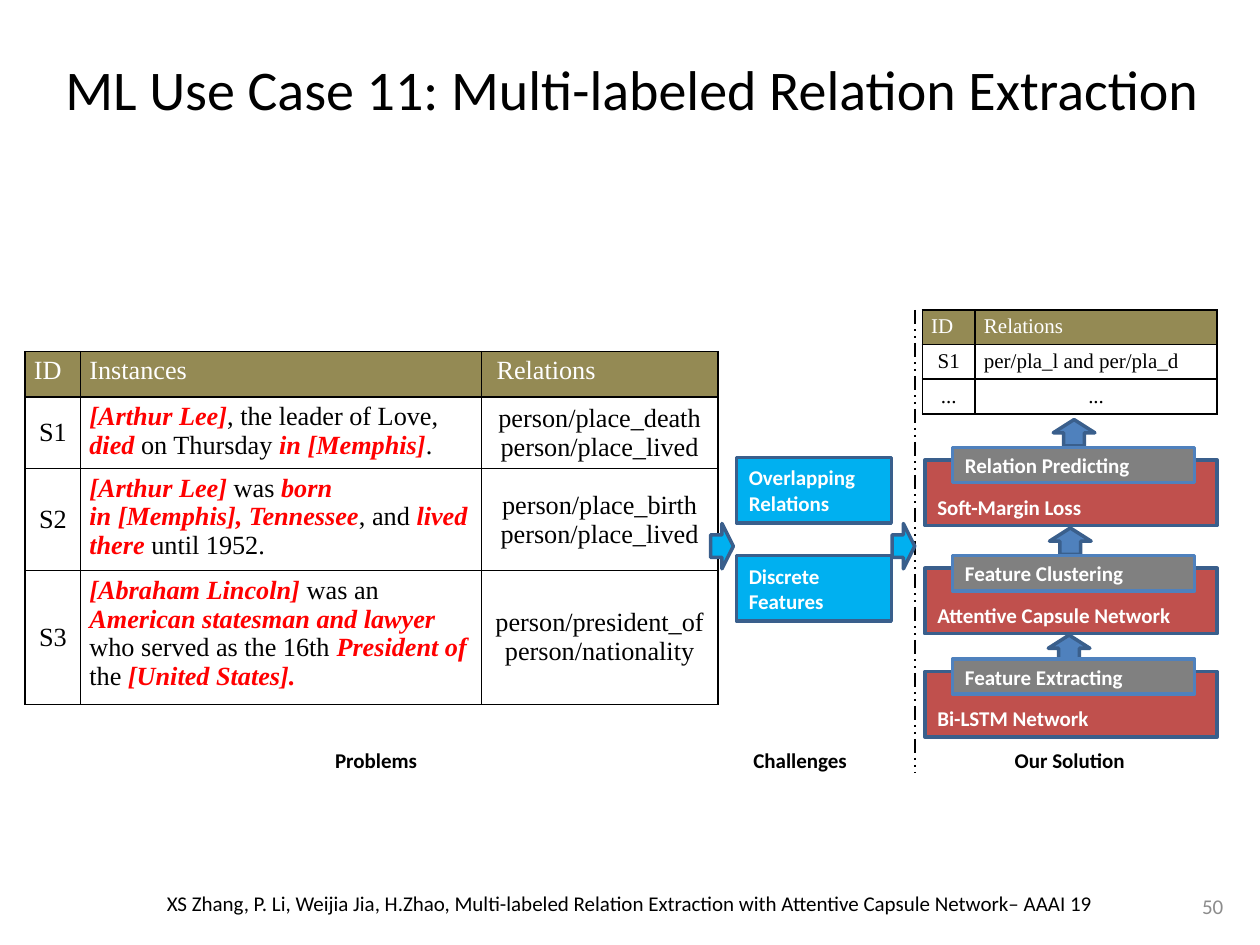
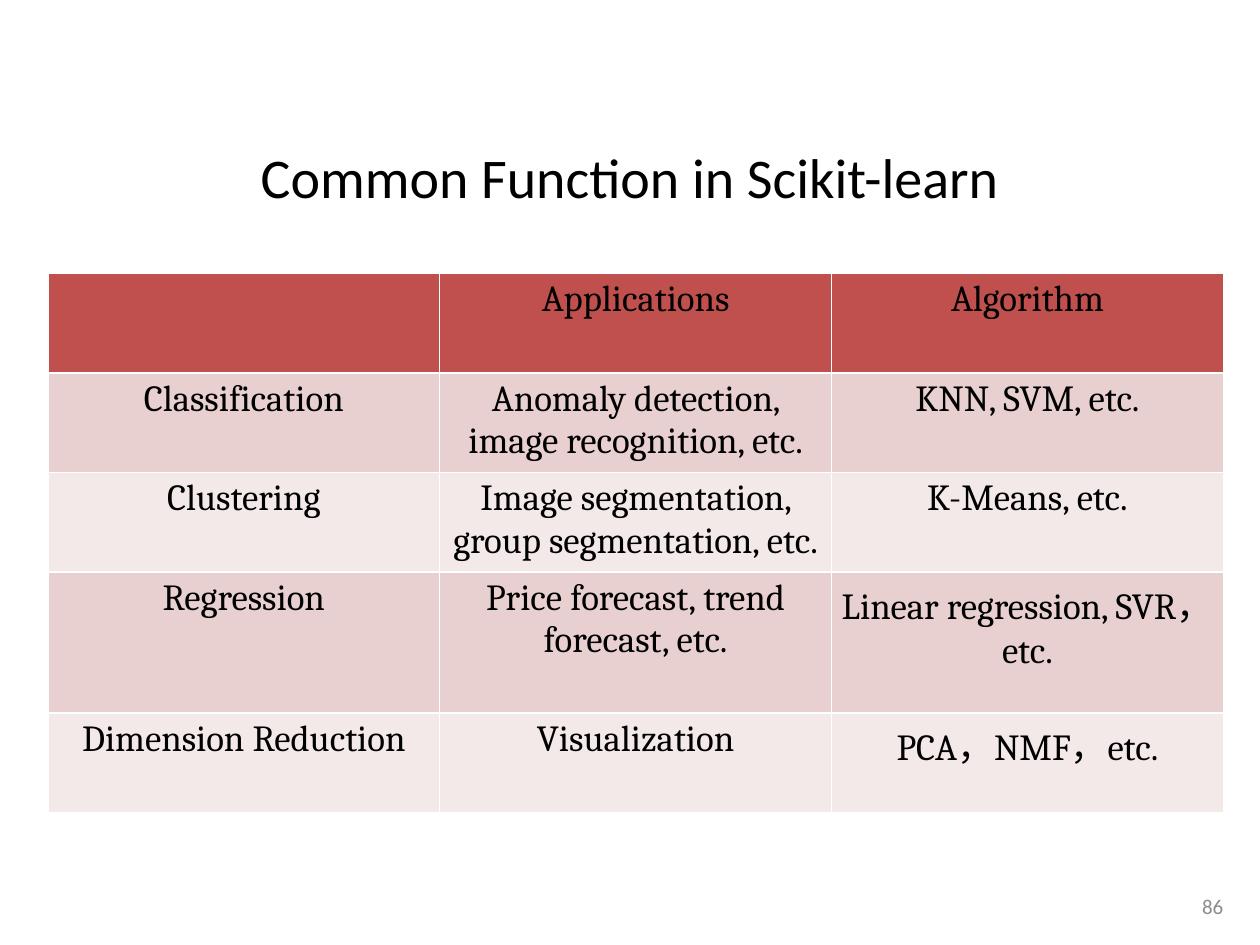
from lxml.etree import SubElement
from pptx import Presentation
from pptx.dml.color import RGBColor
from pptx.enum.dml import MSO_LINE
from pptx.enum.shapes import MSO_CONNECTOR, MSO_SHAPE
from pptx.enum.text import MSO_ANCHOR, MSO_AUTO_SIZE, PP_ALIGN
from pptx.oxml import parse_xml
from pptx.oxml.ns import nsdecls, qn
from pptx.util import Inches, Pt

COLORS = {name: RGBColor.from_string(value) for name, value in {
    "black": "000000", "white": "FFFFFF", "number": "8C8C8C",
    "olive": "948A54", "highlight": "FF0000", "red": "C0504D",
    "rose": "E8D0D0", "blush": "F4E9E9", "grey": "808080",
    "blue": "4F81BD", "outline": "3A5F8C", "cyan": "00B0F0",
}.items()}
LEFT, CENTER, RIGHT = PP_ALIGN.LEFT, PP_ALIGN.CENTER, PP_ALIGN.RIGHT
TOP, MIDDLE, BOTTOM = MSO_ANCHOR.TOP, MSO_ANCHOR.MIDDLE, MSO_ANCHOR.BOTTOM

deck = Presentation()
deck.slide_width, deck.slide_height = Inches(10), Inches(7.5)
CELL = deck.slide_width // 100  # the slide is a grid of 100 columns by 75 rows


def grid(*lengths):
    return [round(length * CELL) for length in lengths]


def write(frame, text, size=12, color="black", align=CENTER, font="Calibri", bold=False):
    """Fill a text frame, one paragraph a line; parts between stars are highlighted."""
    frame.word_wrap = True
    for index, line in enumerate(text.split("\n")):
        para = frame.add_paragraph() if index else frame.paragraphs[0]
        para.alignment = align
        para.font.size, para.font.name, para.font.bold = Pt(size), font, bold
        para.font.color.rgb = COLORS[color]
        for part, words in enumerate(line.split("*")):
            if words:
                span = para.add_run()
                span.text = words
                if part % 2:
                    span.font.bold = span.font.italic = True
                    span.font.color.rgb = COLORS["highlight"]


# Titles and page numbers
pages = []
for title_text, title_at, number in (
    ("ML Use Case 11: Multi-labeled Relation Extraction", (2, 4.3, 96.4, 5.4), "50"),
    ("Common Function in Scikit-learn", (6.9, 11.3, 86.2, 5.4), "86"),
):
    page = deck.slides.add_slide(deck.slide_layouts[5])
    title = page.shapes.title
    title.left, title.top, title.width, title.height = grid(*title_at)
    number_box = page.shapes.add_textbox(*grid(78.1, 70.9, 19, 2))
    for frame in (title.text_frame, number_box.text_frame):
        frame.auto_size = MSO_AUTO_SIZE.NONE
        frame.margin_left = frame.margin_right = frame.margin_top = frame.margin_bottom = 0
    write(title.text_frame, title_text, 32)
    write(number_box.text_frame, number, color="number", align=RIGHT)
    pages.append(page)
use_case, functions = pages

# Tables: alignment and anchor are given for each body column
instances = [
    ("ID", "Instances", " Relations"),
    ("S1", "*[Arthur Lee]*, the leader of Love, *died* on Thursday *in [Memphis]*.",
     "person/place_death\nperson/place_lived"),
    ("S2", "*[Arthur Lee] *was *born in\u00a0[Memphis], Tennessee*, and *lived there *until 1952.",
     "person/place_birth\nperson/place_lived"),
    ("S3", "*[Abraham Lincoln] *was an *American statesman and lawyer *"
           "who served as the 16th* President of *the* [United States].*",
     "person/president_of\nperson/nationality"),
]
predictions = [("ID", "Relations"), ("S1", "per/pla_l and per/pla_d"), ("...", "...")]
scikit = [
    ("", "Applications", "Algorithm"),
    ("Classification", "Anomaly detection, image recognition, etc.", "KNN, SVM, etc."),
    ("Clustering", "Image segmentation, group segmentation, etc.", "K-Means, etc."),
    ("Regression", "Price forecast, trend forecast, etc.", "Linear regression, SVR，etc."),
    ("Dimension Reduction", "Visualization", "PCA，NMF，etc."),
]
mid, top_left, top_mid = (CENTER, MIDDLE), (LEFT, TOP), (CENTER, TOP)
for page, at, widths, heights, content, body, font, size, head, fills, border in (
    (use_case, (2, 27.9), (4.4, 31.8, 18.8), (3.6, 5.7, 8.1, 10.6), instances,
     (mid, top_left, mid), "Times New Roman", 15, ("olive", "white", LEFT), (None,), "000000"),
    (use_case, (73.2, 24.6), (4.2, 19.2), (2.75,) * 3, predictions,
     (mid, (LEFT, MIDDLE)), "Times New Roman", 12, ("olive", "white", LEFT), (None,), "000000"),
    (functions, (3.8, 21.7), (31.1,) * 3, (7.9, 7.9, 7.9, 11.2, 7.9), scikit,
     (top_mid,) * 3, "Cambria", 21, ("red", "black", CENTER), ("rose", "blush"), "FFFFFF"),
):
    table = page.shapes.add_table(len(heights), len(widths),
                                  *grid(*at, sum(widths), sum(heights))).table
    table.first_row = table.horz_banding = False
    for column, width in zip(table.columns, grid(*widths)):
        column.width = width
    for row_index, (row, height) in enumerate(zip(table.rows, grid(*heights))):
        row.height = height
        for column_index, cell in enumerate(row.cells):
            text = content[row_index][column_index]
            align, anchor = body[column_index]
            fill, color = fills[(row_index - 1) % len(fills)], "black"
            if row_index == 0:
                fill, color, align = head
                anchor = TOP
            elif text == "...":
                align = CENTER
            cell.vertical_anchor = anchor
            cell.margin_left = cell.margin_right = Inches(0.07)
            cell.margin_top = cell.margin_bottom = Inches(0.04)
            write(cell.text_frame, text, size, color, align, font)
            properties = cell._tc.get_or_add_tcPr()
            for index, side in enumerate("LRTB"):
                properties.insert(index, parse_xml(
                    f'<a:ln{side} {nsdecls("a")} w="{Pt(1)}"><a:solidFill>'
                    f'<a:srgbClr val="{border}"/></a:solidFill></a:ln{side}>'))
            if fill:
                cell.fill.solid()
                cell.fill.fore_color.rgb = COLORS[fill]
            else:
                cell.fill.background()

# Divider between the challenges and the solution
divider = use_case.shapes.add_connector(MSO_CONNECTOR.STRAIGHT, *grid(72.6, 24.6, 72.6, 61.3))
divider.line.color.rgb, divider.line.width = COLORS["black"], Pt(1)
divider.line.dash_style = MSO_LINE.DASH_DOT_DOT
SubElement(divider._element.spPr, qn("a:effectLst"))

# Solution layers, challenges and the arrows between them
RECT, UP, ACROSS = MSO_SHAPE.RECTANGLE, MSO_SHAPE.UP_ARROW, MSO_SHAPE.RIGHT_ARROW
blocks = []
for step_top, arrow_left, arrow_top, step, method in (
    (35.5, 83.6, 33.3, "Relation Predicting", "Soft-Margin Loss"),
    (44.1, 83.3, 41.9, "Feature Clustering", "Attentive Capsule Network"),
    (52.3, 83.2, 50.4, "Feature Extracting", "Bi-LSTM Network"),
):
    blocks += [
        (RECT, (73.4, step_top + 1, 23.2, 5.2), "red", "outline", method, BOTTOM),
        (UP, (arrow_left, arrow_top, 3.3, 2.1), "blue", "outline", "", MIDDLE),
        (RECT, (75.6, step_top, 19.2, 2.8), "grey", "blue", step, MIDDLE),
    ]
for left in (56.4, 70.8):
    blocks.append((ACROSS, (left, 41.55, 1.8, 3.6), "cyan", "outline", "", MIDDLE))
for top, challenge in ((36.3, "Overlapping\nRelations"), (44.1, "Discrete\nFeatures")):
    blocks.append((RECT, (58.45, top, 12.3, 5.2), "cyan", "outline", challenge, MIDDLE))
for kind, at, fill, line, text, anchor in blocks:
    block = use_case.shapes.add_shape(kind, *grid(*at))
    block.shadow.inherit = False
    block.fill.solid()
    block.fill.fore_color.rgb = COLORS[fill]
    block.line.color.rgb, block.line.width = COLORS[line], Pt(2)
    if text:
        block.text_frame.vertical_anchor = anchor
        write(block.text_frame, text, color="white", align=LEFT, bold=True)

# Section labels and citation
for left, width, label in ((9.4, 40.9, "Problems"), (57.9, 11.2, "Challenges"),
                           (75.5, 18.8, "Our Solution")):
    box = use_case.shapes.add_textbox(*grid(left, 58.8, width, 3))
    write(box.text_frame, label, bold=True)
citation = use_case.shapes.add_textbox(*grid(1.8, 70.7, 96.4, 4.1))
citation.text_frame.margin_top = 0
write(citation.text_frame, "XS Zhang, P. Li, Weijia Jia, H.Zhao, Multi-labeled Relation "
      "Extraction with Attentive Capsule Network– AAAI 19")

deck.save("out.pptx")
